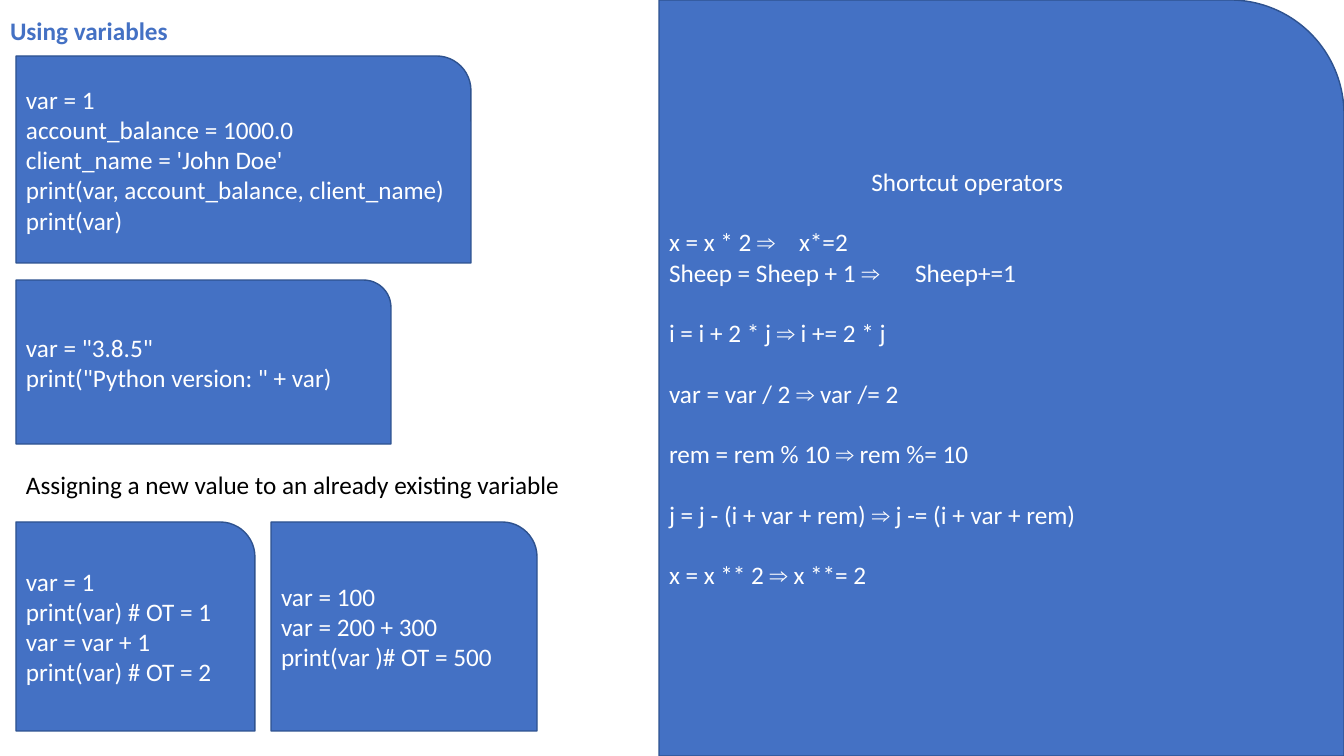
from lxml import etree
from pptx import Presentation
from pptx.dml.color import RGBColor
from pptx.enum.shapes import MSO_SHAPE
from pptx.enum.text import MSO_ANCHOR, PP_ALIGN
from pptx.oxml.ns import qn
from pptx.util import Pt

PX = 12192000 / 1344
CARD = MSO_SHAPE.ROUND_1_RECTANGLE
LEFT, CENTER = PP_ALIGN.LEFT, PP_ALIGN.CENTER
TOP, MIDDLE = MSO_ANCHOR.TOP, MSO_ANCHOR.MIDDLE
BLUE, NAVY, WHITE, BLACK = "4471C4", "2E528F", "FFFFFF", "000000"
FONT, ARROW_FONT, ARROW = "Calibri", "Times New Roman", "⇒"
SIZE, LEADING = 18, 21.6

CODE_CARDS = [
    ((16, 56, 455, 207), [
        "var = 1",
        "account_balance = 1000.0",
        "client_name = 'John Doe'",
        "print(var, account_balance, client_name)",
        "print(var)",
    ]),
    ((16, 280, 375, 164), [
        'var = "3.8.5"',
        'print("Python version: " + var)',
    ]),
    ((16, 522, 239, 209), [
        "var = 1",
        "print(var) # OT = 1",
        "var = var + 1",
        "print(var) # OT = 2",
    ]),
    ((271, 522, 266, 209), [
        "var = 100",
        "var = 200 + 300",
        "print(var )# OT = 500",
    ]),
]

SHORTCUTS = [
    ("x = x * 2 ⇒\tx*=2", 130, True),
    ("Sheep = Sheep + 1 ⇒\tSheep+=1", 246, False),
    ("i = i + 2 * j ⇒ i += 2 * j", None, True),
    ("var = var / 2 ⇒ var /= 2", None, True),
    ("rem = rem % 10 ⇒ rem %= 10", None, True),
    ("j = j - (i + var + rem) ⇒ j -= (i + var + rem)", None, True),
    ("x = x ** 2 ⇒ x **= 2", None, True),
]


def px(n):
    return round(n * PX)


def rgb(color):
    return RGBColor.from_string(color)


def set_frame(sp, insets, anchor):
    tf = sp.text_frame
    tf.word_wrap = True
    tf.vertical_anchor = anchor
    tf.margin_left, tf.margin_top, tf.margin_right, tf.margin_bottom = map(px, insets)
    return tf


def add_run(p, text, color, font=FONT, bold=False):
    r = p.add_run()
    r.text = text
    r.font.name = font
    r.font.size = Pt(SIZE)
    r.font.bold = bold
    r.font.color.rgb = rgb(color)


def add_tab(p, pos):
    tabs = etree.SubElement(p._p.get_or_add_pPr(), qn("a:tabLst"))
    etree.SubElement(tabs, qn("a:tab"), pos=str(px(pos)), algn="l")


def add_line(tf, text, color, align=LEFT, bold=False, tab=None, gap=False):
    p = tf.paragraphs[0] if not tf.paragraphs[0].runs else tf.add_paragraph()
    if tab:
        add_tab(p, tab)
    p.alignment = align
    p.line_spacing = Pt(LEADING)
    p.space_before = Pt(LEADING if gap else 0)
    before, arrow, after = text.partition(ARROW)
    add_run(p, before, color, bold=bold)
    if arrow:
        add_run(p, arrow, color, ARROW_FONT)
        add_run(p, after, color)


def add_card(slide, box, insets):
    sp = slide.shapes.add_shape(CARD, *map(px, box))
    sp.shadow.inherit = False
    sp.fill.solid()
    sp.fill.fore_color.rgb = rgb(BLUE)
    sp.line.color.rgb = rgb(NAVY)
    sp.line.width = Pt(1)
    return set_frame(sp, insets, MIDDLE)


def add_title(slide, text):
    sp = slide.shapes.title
    sp.left, sp.top, sp.width, sp.height = map(px, (9, 14, 1327, 33))
    add_line(set_frame(sp, (1, 1, 0, 0), TOP), text, BLUE, bold=True)


def add_caption(slide, box, text):
    sp = slide.shapes.add_textbox(*map(px, box))
    add_line(set_frame(sp, (0, 0, 0, 0), MIDDLE), text, BLACK)


def add_shortcuts(slide):
    tf = add_card(slide, (659, 0, 685, 756), (10, 0, 45, 0))
    add_line(tf, "Shortcut operators", WHITE, CENTER)
    for text, tab, gap in SHORTCUTS:
        add_line(tf, text, WHITE, tab=tab, gap=gap)


def main():
    prs = Presentation()
    prs.slide_width, prs.slide_height = px(1344), px(756)
    slide = prs.slides.add_slide(prs.slide_layouts[5])
    add_title(slide, "Using variables")
    for box, lines in CODE_CARDS:
        tf = add_card(slide, box, (10, 0, 5, 0))
        for text in lines:
            add_line(tf, text, WHITE)
    add_caption(slide, (26, 468, 560, 33), "Assigning a new value to an already existing variable")
    add_shortcuts(slide)
    prs.save("out.pptx")


if __name__ == "__main__":
    main()
